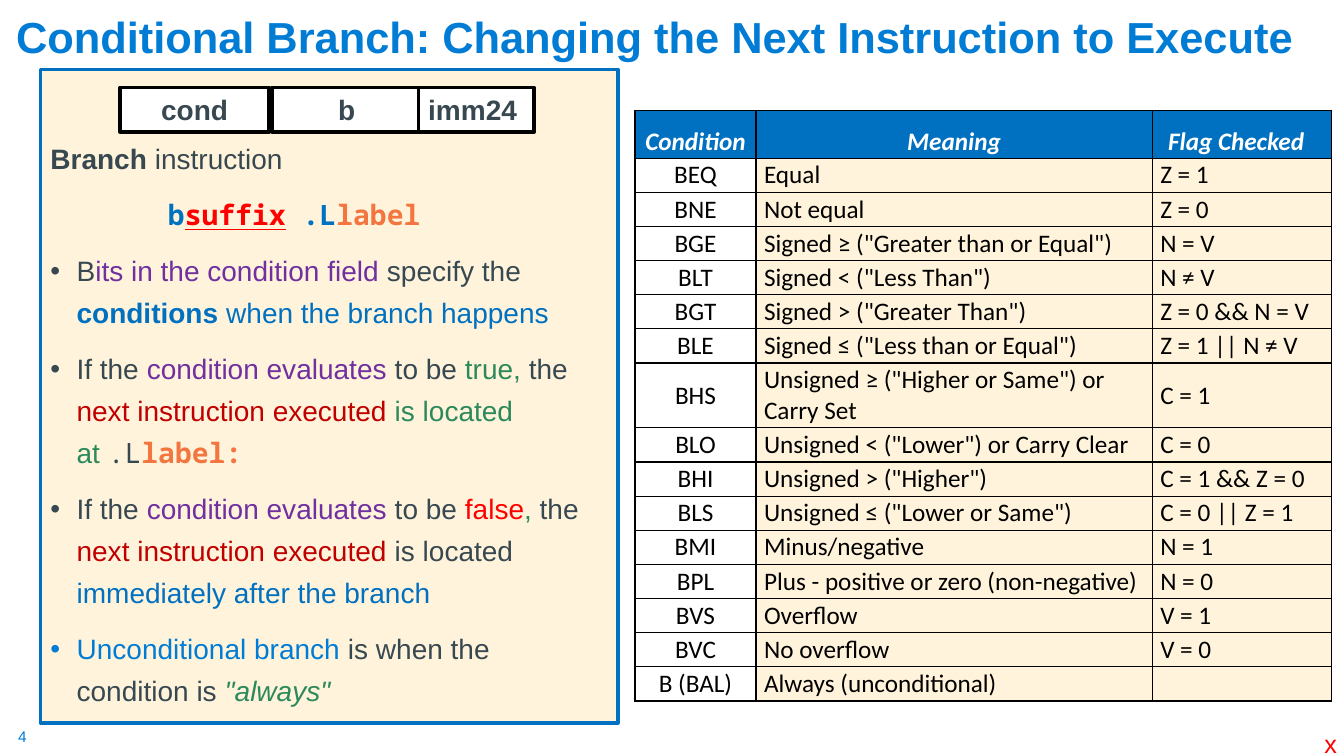
"""Builds a slide on conditional branch instructions and their flags."""
from lxml import etree
from pptx import Presentation
from pptx.dml.color import RGBColor
from pptx.enum.shapes import MSO_SHAPE
from pptx.enum.text import MSO_ANCHOR, MSO_AUTO_SIZE, PP_ALIGN
from pptx.oxml.ns import qn
from pptx.util import Pt

RECT = MSO_SHAPE.RECTANGLE
LEFT, CENTER = PP_ALIGN.LEFT, PP_ALIGN.CENTER
TOP, MIDDLE, BOTTOM = MSO_ANCHOR.TOP, MSO_ANCHOR.MIDDLE, MSO_ANCHOR.BOTTOM
FIXED = MSO_AUTO_SIZE.NONE

SKY = RGBColor(0x00, 0x7C, 0xD5)
BLUE = RGBColor(0x00, 0x70, 0xC0)
SLATE = RGBColor(0x38, 0x48, 0x51)
PURPLE = RGBColor(0x70, 0x30, 0xA0)
GREEN = RGBColor(0x2C, 0x89, 0x5B)
RED = RGBColor(0xFF, 0x00, 0x00)
CRIMSON = RGBColor(0xC0, 0x00, 0x00)
ORANGE = RGBColor(0xF3, 0x75, 0x3F)
CREAM = RGBColor(0xFF, 0xF4, 0xDB)
WHITE = RGBColor(0xFF, 0xFF, 0xFF)
BLACK = RGBColor(0x00, 0x00, 0x00)

SANS, TABLE, MONO = "Arial", "Calibri", "Noto Sans Mono"

LEADS = [
    (0, [("Branch ", SLATE, "b"), ("instruction", SLATE, "")]),
    (84, [("b", BLUE, "bm"), ("suffix", RED, "bmu"), (" .L", BLUE, "bm"),
          ("label", ORANGE, "bm")]),
]
POINTS = [
    [("B", SLATE, ""), ("its in the condition field ", PURPLE, ""),
     ("specify the ", SLATE, ""), ("conditions", BLUE, "b"),
     (" when the branch happens", BLUE, "")],
    [("If the ", SLATE, ""), ("condition evaluates ", PURPLE, ""),
     ("to be ", SLATE, ""), ("true, ", GREEN, ""), ("the ", SLATE, ""),
     ("next instruction executed", CRIMSON, ""), (" is located at ", GREEN, ""),
     (".L", SLATE, "m"), ("label:", ORANGE, "bm")],
    [("If the ", SLATE, ""), ("condition evaluates ", PURPLE, ""),
     ("to be ", SLATE, ""), ("false", RED, ""), (",", GREEN, ""),
     (" the ", SLATE, ""), ("next instruction executed", CRIMSON, ""),
     (" is located ", SLATE, ""), ("immediately after the branch", BLUE, "")],
    [("Unconditional branch ", SKY, ""), ("is when the condition is ", SLATE, ""),
     ('"always"', GREEN, "i")],
]
FIELDS = [("b", 194.4, 106.6, CENTER), ("imm24", 298.8, 82.8, LEFT),
          ("cond", 85.7, 106.6, CENTER)]
HEADS = ("Condition", "Meaning", "Flag Checked")
CODES = [
    ("BEQ", "Equal", "Z = 1"),
    ("BNE", "Not equal", "Z = 0"),
    ("BGE", 'Signed ≥ ("Greater than or Equal")', "N = V"),
    ("BLT", 'Signed < ("Less Than")', "N ≠ V"),
    ("BGT", 'Signed > ("Greater Than")', "Z = 0 && N = V"),
    ("BLE", 'Signed ≤ ("Less than or Equal")', "Z = 1 || N ≠ V"),
    ("BHS", 'Unsigned ≥ ("Higher or Same") or Carry Set', "C = 1"),
    ("BLO", 'Unsigned < ("Lower") or Carry Clear', "C = 0"),
    ("BHI", 'Unsigned > ("Higher")', "C = 1 && Z = 0"),
    ("BLS", 'Unsigned ≤ ("Lower or Same")', "C = 0 || Z = 1"),
    ("BMI", "Minus/negative", "N = 1"),
    ("BPL", "Plus - positive or zero (non-negative)", "N = 0"),
    ("BVS", "Overflow", "V = 1"),
    ("BVC", "No overflow", "V = 0"),
    ("B (BAL)", "Always (unconditional)", ""),
]
WIDTHS = (86.4, 283, 128.2)


def place(shape, left, top, width, height):
    shape.left, shape.top = Pt(left), Pt(top)
    shape.width, shape.height = Pt(width), Pt(height)


def style(para, size, color, name=SANS, bold=False, italic=False):
    font = para.font
    font.name, font.size, font.bold, font.italic = name, Pt(size), bold, italic
    font.color.rgb = color


def paint(shape, fill, line):
    shape.fill.solid()
    shape.fill.fore_color.rgb = fill
    shape.line.color.rgb = line
    shape.line.width = Pt(2.5)


def add_title(slide):
    title = slide.shapes.title
    place(title, 4.3, 8.6, 934.6, 40.3)
    frame = title.text_frame
    frame.auto_size, frame.vertical_anchor = FIXED, BOTTOM
    frame.text = "Conditional Branch: Changing the Next Instruction to Execute"
    para = frame.paragraphs[0]
    para.alignment, para.line_spacing = LEFT, 0.9
    style(para, 31, SKY, bold=True)


def fill_para(para, runs, margin, hang, bullet):
    props = para._p.get_or_add_pPr()
    props.set("marL", str(Pt(margin)))
    props.set("indent", str(Pt(-hang)))
    para.line_spacing, para.alignment = 1.25, LEFT
    if bullet:
        etree.SubElement(props, qn("a:buFont")).set("typeface", SANS)
        etree.SubElement(props, qn("a:buChar")).set("char", "•")
    else:
        etree.SubElement(props, qn("a:buNone"))
    para.font.size = Pt(20)
    for text, color, marks in runs:
        run = para.add_run()
        run.text = text
        font = run.font
        font.name = MONO if "m" in marks else SANS
        font.bold, font.italic = "b" in marks, "i" in marks
        font.underline = "u" in marks
        font.color.rgb = color


def add_panel(slide):
    body = slide.placeholders[1]
    place(body, 28.8, 49.7, 412.6, 466.6)
    paint(body, CREAM, BLUE)
    frame = body.text_frame
    frame.auto_size, frame.vertical_anchor = FIXED, BOTTOM
    frame.margin_bottom = Pt(11)
    items = [(runs, margin, 0, False) for margin, runs in LEADS]
    items += [(runs, 18.7, 18.7, True) for runs in POINTS]
    for i, item in enumerate(items):
        para = frame.add_paragraph() if i else frame.paragraphs[0]
        para.space_before = Pt(10 if i else 0)
        fill_para(para, *item)


def add_field(slide, text, left, width, align):
    box = slide.shapes.add_shape(RECT, Pt(left), Pt(62.6), Pt(width), Pt(31.7))
    box.shadow.inherit = False
    paint(box, WHITE, BLACK)
    box.text_frame.text = text
    para = box.text_frame.paragraphs[0]
    para.alignment = align
    style(para, 20, SLATE, bold=True)


def add_edges(cell):
    props = cell._tc.get_or_add_tcPr()
    for side in ("lnL", "lnR", "lnT", "lnB"):
        line = etree.SubElement(props, qn("a:" + side), w=str(Pt(1)))
        fill = etree.SubElement(line, qn("a:solidFill"))
        etree.SubElement(fill, qn("a:srgbClr"), val=str(BLACK))


def fill_cell(cell, text, col, head):
    add_edges(cell)
    cell.fill.solid()
    cell.fill.fore_color.rgb = BLUE if head else CREAM if col else WHITE
    cell.margin_left = Pt(5.8)
    cell.margin_right = Pt(14 if head and col == 2 else 5.8)
    cell.margin_top = cell.margin_bottom = Pt(0.7 if head else 1.2)
    cell.vertical_anchor = TOP if head and col == 2 else MIDDLE
    cell.text = text
    para = cell.text_frame.paragraphs[0]
    para.alignment = CENTER if head or not col else LEFT
    para.line_spacing = 1.5 if head else 1.0
    style(para, 18, WHITE if head else BLACK, TABLE, head, head)


def add_codes(slide):
    rows = [HEADS] + CODES
    frame = slide.shapes.add_table(len(rows), len(HEADS), Pt(453.6), Pt(78.7),
                                   Pt(sum(WIDTHS)), Pt(419))
    table = frame.table
    table.first_row = table.horz_banding = False
    for col, width in enumerate(WIDTHS):
        table.columns[col].width = Pt(width)
    for i, row in enumerate(rows):
        table.rows[i].height = Pt(22)
        for col, text in enumerate(row):
            fill_cell(table.cell(i, col), text, col, i == 0)


def add_note(slide, text, area, size, color, inset):
    box = slide.shapes.add_textbox(*map(Pt, area))
    frame = box.text_frame
    frame.word_wrap = False
    frame.margin_left = frame.margin_right = Pt(inset)
    frame.margin_top = frame.margin_bottom = Pt(inset / 2)
    frame.text = text
    style(frame.paragraphs[0], size, color)


def main():
    deck = Presentation()
    deck.slide_width, deck.slide_height = Pt(960), Pt(540)
    slide = deck.slides.add_slide(deck.slide_layouts[1])
    add_title(slide)
    add_panel(slide)
    for field in FIELDS:
        add_field(slide, *field)
    add_codes(slide)
    add_note(slide, "4", (13, 519.1, 13.7, 13.7), 11, SKY, 0)
    add_note(slide, "x", (938.9, 517, 23.8, 28.8), 18, RED, 7.2)
    deck.save("out.pptx")


if __name__ == "__main__":
    main()
